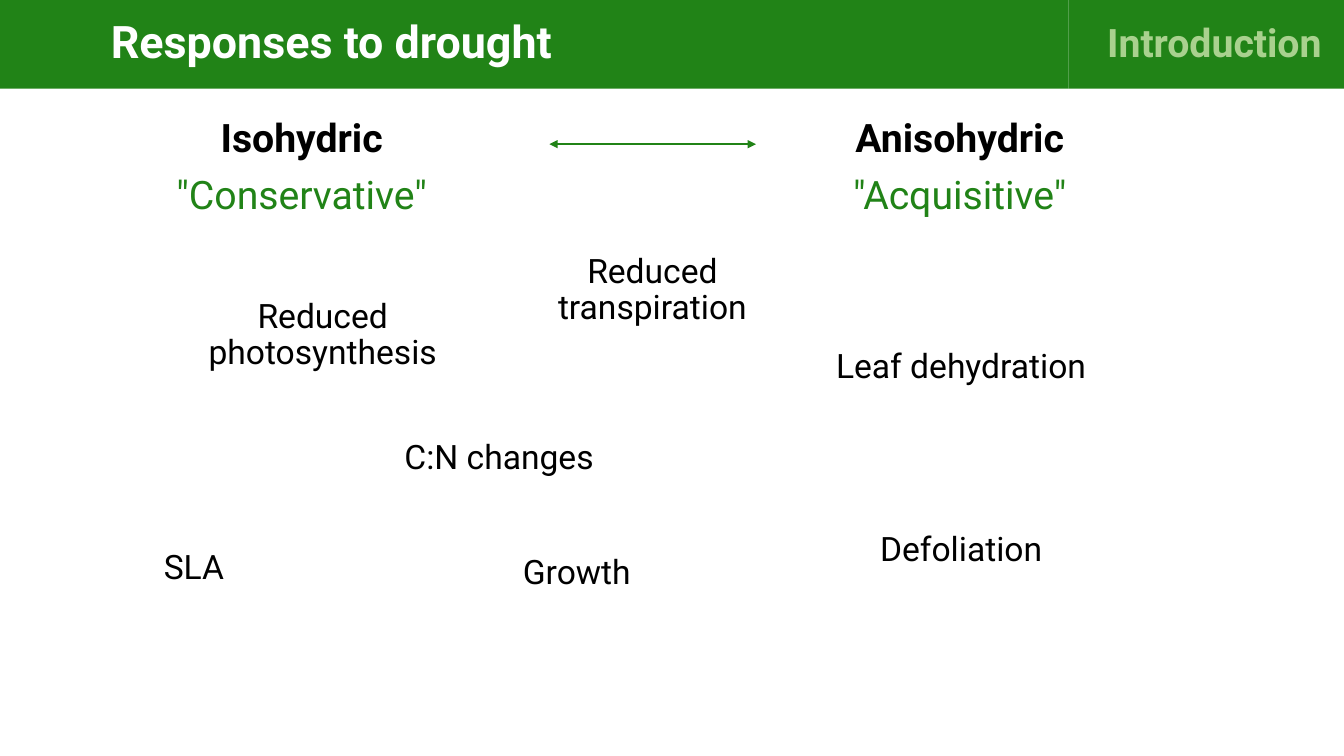
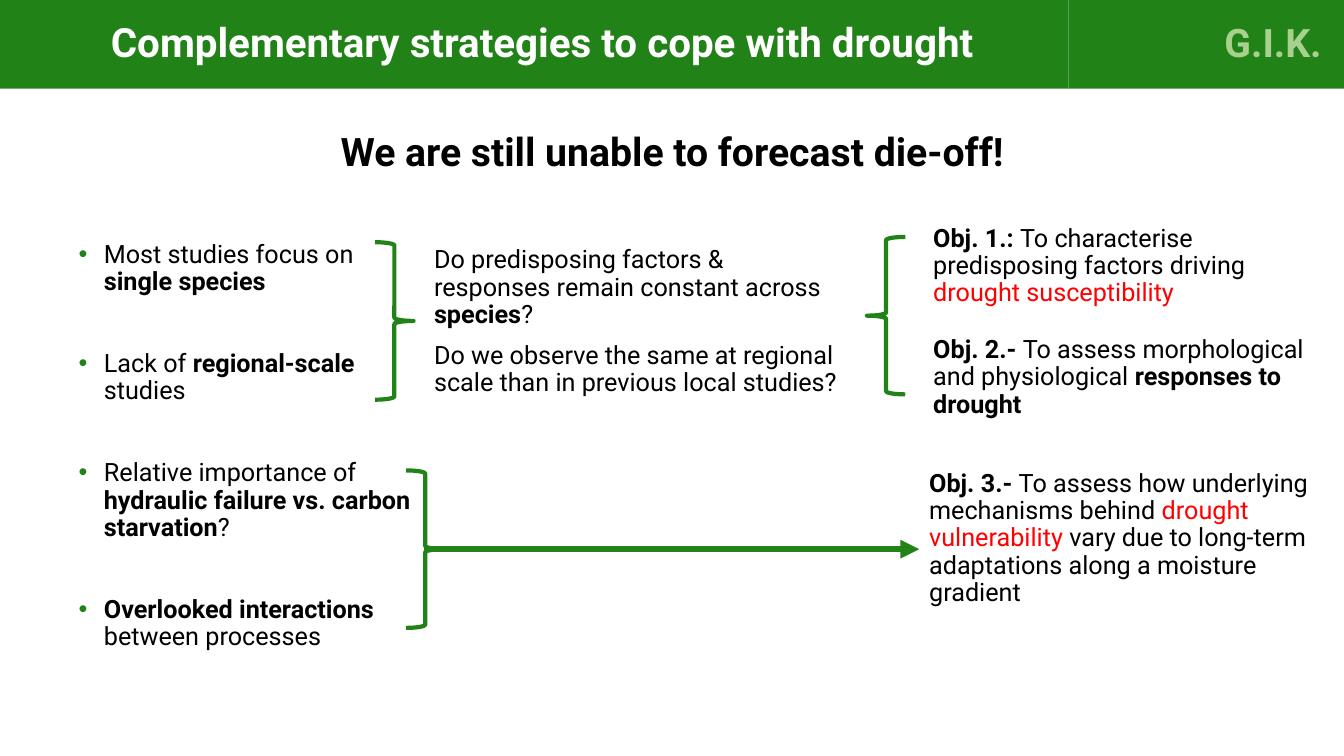
"""Build two slides on how plants respond to drought."""
from lxml.etree import SubElement
from pptx import Presentation
from pptx.dml.color import RGBColor
from pptx.enum.shapes import MSO_CONNECTOR, MSO_SHAPE
from pptx.enum.text import MSO_ANCHOR as ANCHOR, MSO_AUTO_SIZE, PP_ALIGN as ALIGN
from pptx.oxml.ns import qn
from pptx.util import Pt

COLORS = {"green": "218317", "light": "A9D18E", "white": "FFFFFF",
          "black": "000000", "red": "FF0000"}
RGB = {name: RGBColor.from_string(value) for name, value in COLORS.items()}
FONT = "Roboto"
BAND_HEIGHT, BAND_SPLIT = 63.4, 763.2
BOLD, RED, GREEN = {"bold": True}, {"color": "red"}, {"color": "green", "bold": False}


def write(shape, paragraphs, size=18, color="black", bold=False, align=ALIGN.LEFT,
          anchor=ANCHOR.TOP, gap=10, bullet=False):
    """Fill a shape with paragraphs, each a list of (text, format) runs."""
    frame = shape.text_frame
    frame.word_wrap = True
    frame.auto_size = MSO_AUTO_SIZE.NONE
    frame.vertical_anchor = anchor
    for index, runs in enumerate(paragraphs):
        paragraph = frame.add_paragraph() if index else frame.paragraphs[0]
        if bullet:
            props = paragraph._p.get_or_add_pPr()
            props.set("marL", str(Pt(18)))
            props.set("indent", str(-Pt(18)))
            SubElement(SubElement(props, qn("a:buClr")), qn("a:srgbClr"), val=COLORS["green"])
            SubElement(props, qn("a:buChar"), char="•")
        paragraph.alignment = align
        paragraph.line_spacing = 0.9
        paragraph.space_before = Pt(gap if index else 0)
        for text, style in runs:
            run = paragraph.add_run()
            run.text = text
            run.font.name = FONT
            run.font.size = Pt(size)
            run.font.bold = style.get("bold", bold)
            run.font.color.rgb = RGB[style.get("color", color)]


def add_arrow(slide, start, end, y, width, ends):
    """Draw a level green line with triangles at the named ends."""
    arrow = slide.shapes.add_connector(MSO_CONNECTOR.STRAIGHT, Pt(start), Pt(y), Pt(end), Pt(y))
    arrow.line.color.rgb = RGB["green"]
    arrow.line.width = Pt(width)
    for end_name in ends:
        SubElement(arrow.line._get_or_add_ln(), qn(f"a:{end_name}"), type="triangle")
    SubElement(arrow._element.spPr, qn("a:effectLst"))


deck = Presentation()
deck.slide_width, deck.slide_height = Pt(960), Pt(540)

headings = [
    (5, "Responses to drought", 32, "Introduction"),
    (1, "Complementary strategies to cope with drought", 28.8, "G.I.K."),
]
for layout, heading, size, section in headings:
    slide = deck.slides.add_slide(deck.slide_layouts[layout])
    title = slide.shapes.title
    title.left, title.top, title.width, title.height = 0, 0, Pt(BAND_SPLIT), Pt(BAND_HEIGHT)
    section_band = slide.shapes.add_shape(
        MSO_SHAPE.RECTANGLE, Pt(BAND_SPLIT), 0, Pt(960 - BAND_SPLIT), Pt(BAND_HEIGHT))
    section_band.shadow.inherit = False
    section_band.line.fill.background()
    for band in (title, section_band):
        band.fill.solid()
        band.fill.fore_color.rgb = RGB["green"]
    title.text_frame.margin_left = Pt(79.2)
    section_band.text_frame.margin_right = Pt(16)
    write(title, [[(heading, {})]], size=size, color="white", bold=True, anchor=ANCHOR.MIDDLE)
    write(section_band, [[(section, {})]], size=28, color="light", bold=True,
          align=ALIGN.RIGHT, anchor=ANCHOR.MIDDLE)

responses, strategies = deck.slides

for left, strategy, nickname in [(108, "Isohydric", '"Conservative"'),
                                 (578, "Anisohydric", '"Acquisitive"')]:
    extreme = responses.shapes.add_textbox(Pt(left), Pt(81.4), Pt(215), Pt(90))
    write(extreme, [[(strategy, {})], [(nickname, GREEN)]], size=28, bold=True,
          align=ALIGN.CENTER)
add_arrow(responses, 392.4, 540, 103, 1.5, ("headEnd", "tailEnd"))

effects = [
    ("Reduced transpiration", 357, 178),
    ("Reduced photosynthesis", 121.5, 210.5),
    ("C:N changes", 247.5, 311),
    ("Leaf dehydration", 577.5, 246),
    ("Defoliation", 577.5, 376.5),
    ("SLA", 29.5, 390),
    ("Growth", 303, 393),
]
for effect, left, top in effects:
    label = responses.shapes.add_textbox(Pt(left), Pt(top), Pt(218), Pt(65.5))
    write(label, [[(effect, {})]], size=24, align=ALIGN.CENTER)

message = strategies.shapes.add_textbox(Pt(198.5), Pt(91.4), Pt(563), Pt(63.4))
write(message, [[("We are still unable to forecast die-off!", {})]], size=28, bold=True,
      align=ALIGN.CENTER)

gaps = strategies.placeholders[1]
gaps.left, gaps.top, gaps.width, gaps.height = Pt(49), Pt(169.2), Pt(255), Pt(323)
write(gaps, [
    [("Most studies focus on ", {}), ("single species", BOLD)],
    [("Lack of ", {}), ("regional-scale ", BOLD), ("studies", {})],
    [("Relative importance of ", {}), ("hydraulic failure vs. carbon starvation", BOLD), ("?", {})],
    [("Overlooked interactions ", BOLD), ("between processes", {})],
], gap=39, bullet=True)

passages = [
    (303, 173, 308, 112, [
        [("Do predisposing factors & responses remain constant across ", {}),
         ("species", BOLD), ("?", {})],
        [("Do we observe the same at regional scale than in previous local studies?", {})]]),
    (659.5, 157.5, 273.5, 112, [
        [("Obj. 1.: ", BOLD), ("To characterise predisposing factors driving ", {}),
         ("drought susceptibility", RED)]]),
    (659.5, 237, 284.5, 90, [
        [("Obj. 2.- ", BOLD), ("To assess morphological and physiological", {}),
         (" responses to drought", BOLD)]]),
    (656.6, 332.6, 295, 119.5, [
        [("Obj. 3.- ", BOLD), ("To assess how underlying mechanisms behind ", {}),
         ("drought vulnerability ", RED),
         ("vary due to long-term adaptations along a moisture gradient", {})]]),
]
for left, top, width, height, paragraphs in passages:
    passage = strategies.shapes.add_textbox(Pt(left), Pt(top), Pt(width), Pt(height))
    write(passage, paragraphs)

for left, top, rotation in [(268, 173, 0), (290, 336, 0), (619.2, 169.2, 180)]:
    brace = strategies.shapes.add_shape(
        MSO_SHAPE.RIGHT_BRACE, Pt(left), Pt(top), Pt(27.4), Pt(112.5))
    brace.rotation = rotation
    brace.shadow.inherit = False
    brace.fill.background()
    brace.line.color.rgb = RGB["green"]
    brace.line.width = Pt(3)
add_arrow(strategies, 303, 656.6, 392.3, 4.5, ("tailEnd",))

deck.save("out.pptx")
